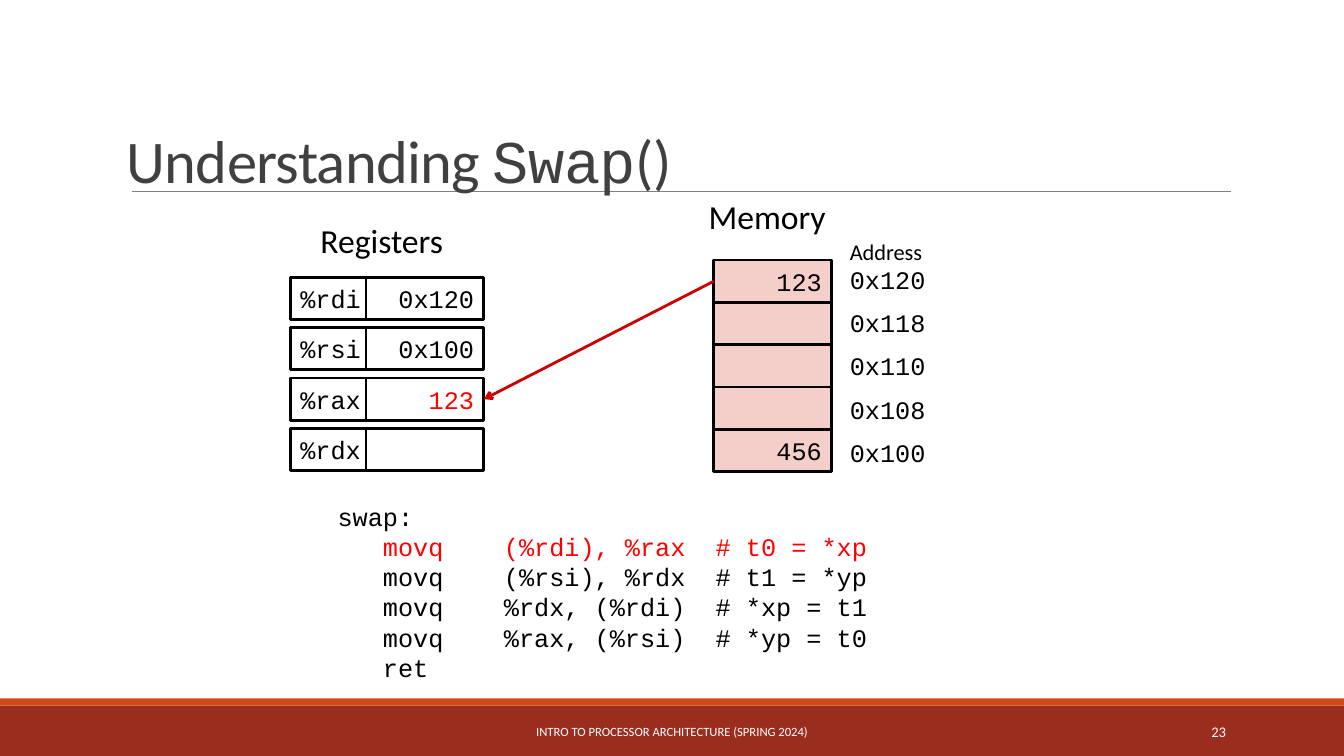
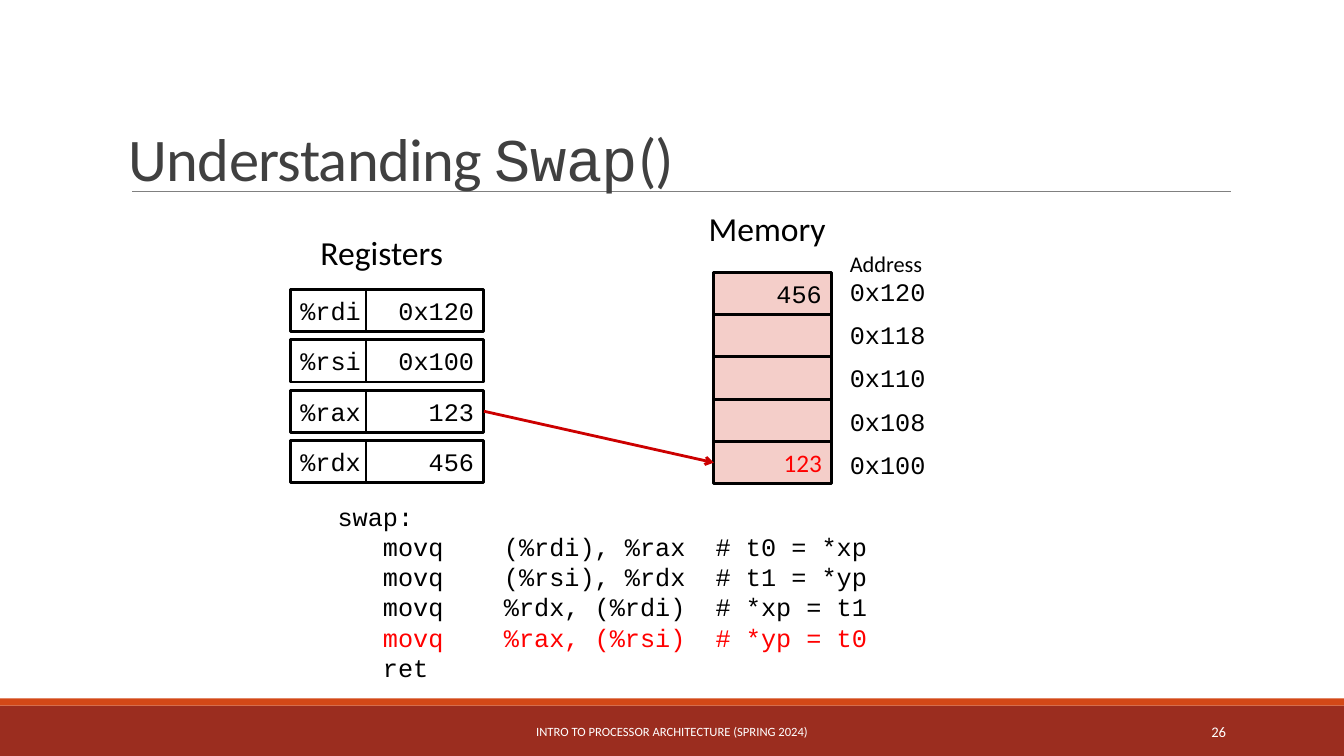
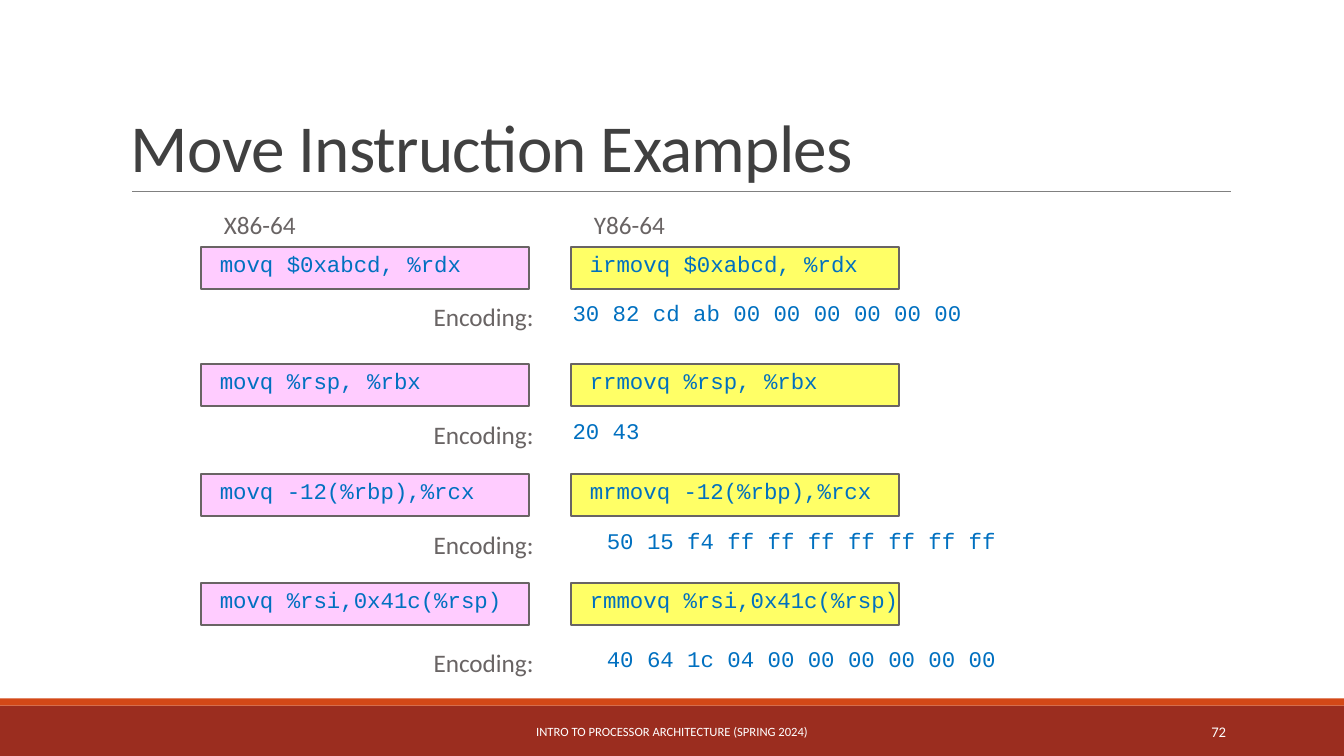
from lxml import etree
from pptx import Presentation
from pptx.dml.color import RGBColor
from pptx.enum import shapes, text
from pptx.oxml import ns
from pptx.util import Inches, Pt

BRICK = RGBColor(0x9B, 0x2D, 0x1F)
ORANGE = RGBColor(0xD3, 0x48, 0x17)
RULE_GRAY = RGBColor(0x80, 0x80, 0x80)
TITLE_GRAY = RGBColor(0x40, 0x40, 0x40)
LABEL_GRAY = RGBColor(0x69, 0x64, 0x64)
WHITE = RGBColor(0xFF, 0xFF, 0xFF)
BLACK = RGBColor(0, 0, 0)
RED = RGBColor(0xFF, 0, 0)
ARROW_RED = RGBColor(0xCC, 0, 0)
MEMORY_PINK = RGBColor(0xF4, 0xCE, 0xC9)
X86_PINK = RGBColor(0xFF, 0xCC, 0xFF)
Y86_YELLOW = RGBColor(0xFF, 0xFF, 0x66)
CODE_BLUE = RGBColor(0x00, 0x70, 0xC0)

SANS, MONO = "Calibri", "Courier New"
LEFT, CENTER, RIGHT = text.PP_ALIGN.LEFT, text.PP_ALIGN.CENTER, text.PP_ALIGN.RIGHT
TOP, MIDDLE, BOTTOM = text.MSO_ANCHOR.TOP, text.MSO_ANCHOR.MIDDLE, text.MSO_ANCHOR.BOTTOM

FOOTER = "INTRO TO PROCESSOR ARCHITECTURE (SPRING 2024)"
SWAP_TITLE = [("Understanding ", SANS), ("Swap", MONO), ("()", SANS)]
CODE_TABS = (0.45, 1.65, 3.75)
SWAP_CODE = [
    "swap:",
    "\tmovq\t(%rdi), %rax\t# t0 = *xp",
    "\tmovq\t(%rsi), %rdx\t# t1 = *yp",
    "\tmovq\t%rdx, (%rdi)\t# *xp = t1",
    "\tmovq\t%rax, (%rsi)\t# *yp = t0",
    "\tret",
]
REGISTERS = ["%rdi", "%rsi", "%rax", "%rdx"]
ADDRESSES = ["0x120", "0x118", "0x110", "0x108", "0x100"]
CELL_HEIGHT = 0.42
VALUE_WIDTH = 1.17

# row top, x86 code, y86 code, encoding top, encoding left, encoding
MOVES = [
    (2.45, "movq $0xabcd, %rdx", "irmovq $0xabcd, %rdx",
     2.94, 5.58, "30 82 cd ab 00 00 00 00 00 00"),
    (3.61, "movq %rsp, %rbx", "rrmovq %rsp, %rbx",
     4.11, 5.58, "20 43"),
    (4.7, "movq -12(%rbp),%rcx", "mrmovq -12(%rbp),%rcx",
     5.2, 5.92, "50 15 f4 ff ff ff ff ff ff ff"),
    (5.78, "movq %rsi,0x41c(%rsp)", "rmmovq %rsi,0x41c(%rsp)",
     6.37, 5.92, "40 64 1c 04 00 00 00 00 00 00"),
]


def set_attributes(target, values):
    for name, value in values.items():
        setattr(target, name, value)


def set_frame(shape, anchor=TOP, wrap=True, insets=(0.1, 0.05, 0.1, 0.05)):
    """Insets run left, top, right, bottom."""
    sides = ("margin_left", "margin_top", "margin_right", "margin_bottom")
    values = {side: Inches(inset) for side, inset in zip(sides, insets)}
    set_attributes(shape.text_frame, {
        "vertical_anchor": anchor, "word_wrap": wrap,
        "auto_size": text.MSO_AUTO_SIZE.NONE, **values})


def add_run(paragraph, words, size, font, color):
    run = paragraph.add_run()
    run.text = words
    set_attributes(run.font, {"size": Pt(size), "name": font})
    run.font.color.rgb = color
    return run


def add_text(slide, box, words, size, font=SANS, color=BLACK, align=LEFT, **frame):
    shape = slide.shapes.add_textbox(*map(Inches, box))
    set_frame(shape, **frame)
    paragraph = shape.text_frame.paragraphs[0]
    paragraph.alignment = align
    add_run(paragraph, words, size, font, color)


def add_box(slide, box, fill, line=None, width=2):
    shape = slide.shapes.add_shape(shapes.MSO_SHAPE.RECTANGLE, *map(Inches, box))
    shape.shadow.inherit = False
    shape.fill.solid()
    shape.fill.fore_color.rgb = fill
    if line is None:
        shape.line.fill.background()
    else:
        shape.line.color.rgb = line
        shape.line.width = Pt(width)
    return shape


def add_cell(slide, box, words, fill, align=RIGHT, color=BLACK, font=MONO):
    shape = add_box(slide, box, fill, BLACK)
    if words:
        set_frame(shape, MIDDLE, wrap=False)
        paragraph = shape.text_frame.paragraphs[0]
        paragraph.alignment = align
        add_run(paragraph, words, 18, font, color)
    return shape


def add_line(slide, start, end, color, width):
    connector = slide.shapes.add_connector(
        shapes.MSO_CONNECTOR.STRAIGHT, *map(Inches, start + end))
    connector.line.color.rgb = color
    connector.line.width = Pt(width)
    etree.SubElement(connector._element.spPr, ns.qn("a:effectLst"))
    return connector


def add_arrow(slide, source, source_side, target, target_side):
    connector = add_line(slide, (0, 0), (1, 1), ARROW_RED, 2)
    connector.begin_connect(source, source_side)
    connector.end_connect(target, target_side)
    line = connector._element.spPr.find(ns.qn("a:ln"))
    etree.SubElement(line, ns.qn("a:tailEnd"), type="arrow")


def add_title(slide, box, pieces, size):
    shape = slide.shapes.add_textbox(*map(Inches, box))
    set_frame(shape, BOTTOM)
    paragraph = shape.text_frame.paragraphs[0]
    paragraph.line_spacing = 0.85
    for words, font in pieces:
        run = add_run(paragraph, words, size, font, TITLE_GRAY)
        run.font._element.set("spc", "-50")


def new_slide(presentation, number):
    """Add a slide with the shared bands, title rule and footer."""
    slide = presentation.slides.add_slide(presentation.slide_layouts[6])
    add_box(slide, (0, 7, 13.33, 0.5), BRICK)
    add_box(slide, (0, 6.93, 13.33, 0.07), ORANGE)
    add_line(slide, (1.31, 1.9), (12.21, 1.9), RULE_GRAY, 0.5)
    add_text(slide, (4.03, 7.06, 5.27, 0.4), FOOTER, 9,
             color=WHITE, align=CENTER, anchor=MIDDLE)
    add_text(slide, (10.83, 7.06, 1.43, 0.4), str(number), 10.5,
             color=WHITE, align=RIGHT, anchor=MIDDLE)
    return slide


def add_registers(slide, shift, values, changed):
    """Draw the register rows and return their value cells."""
    add_text(slide, (3.08, 2.13 + shift, 1.48, 0.5), "Registers", 24, wrap=False)
    cells = []
    for row, (name, value) in enumerate(zip(REGISTERS, values)):
        top = 2.75 + shift + 0.5 * row
        add_cell(slide, (2.88, top, 0.75, CELL_HEIGHT), name, WHITE, LEFT)
        cells.append(add_cell(slide, (3.63, top, VALUE_WIDTH, CELL_HEIGHT), value, WHITE,
                              color=RED if row == changed else BLACK))
    return cells


def add_memory(slide, shift, values, changed):
    """Draw the memory column with its addresses and return its cells."""
    add_text(slide, (6.93, 1.89 + shift, 1.4, 0.5), "Memory", 24, wrap=False)
    add_text(slide, (8.33, 2.31 + shift, 1.33, 0.37), "Address", 16)
    cells = []
    for row, (address, value) in enumerate(zip(ADDRESSES, values)):
        style = {"color": RED, "font": SANS} if row == changed else {}
        box = (7.08, 2.58 + shift + CELL_HEIGHT * row, VALUE_WIDTH, CELL_HEIGHT)
        cells.append(add_cell(slide, box, value, MEMORY_PINK, **style))
        add_text(slide, (8.33, 2.57 + shift + 0.43 * row, 1.33, 0.4), address, 18, MONO)
    return cells


def add_code(slide, current):
    """List the swap code with the current line in red."""
    shape = slide.shapes.add_textbox(*map(Inches, (3.25, 4.92, 6.42, 1.92)))
    set_frame(shape)
    frame = shape.text_frame
    for index, line in enumerate(SWAP_CODE):
        paragraph = frame.add_paragraph() if index else frame.paragraphs[0]
        tabs = etree.SubElement(paragraph._p.get_or_add_pPr(), ns.qn("a:tabLst"))
        for position in CODE_TABS:
            etree.SubElement(tabs, ns.qn("a:tab"), pos=str(Inches(position)), algn="l")
        add_run(paragraph, line, 18, MONO, RED if index == current else BLACK)


def add_swap_slide(presentation, number, title_box, shift, registers, memory, current,
                   changed_register=None, changed_memory=None):
    slide = new_slide(presentation, number)
    add_title(slide, title_box, SWAP_TITLE, 43.2)
    memory_cells = add_memory(slide, shift, memory, changed_memory)
    register_cells = add_registers(slide, shift, registers, changed_register)
    add_code(slide, current)
    if changed_register is not None:
        add_arrow(slide, memory_cells[0], 1, register_cells[changed_register], 3)
    else:
        add_arrow(slide, register_cells[2], 3, memory_cells[changed_memory], 1)


def add_instruction(slide, left, top, words, fill):
    shape = add_box(slide, (left, top, 3.26, CELL_HEIGHT), fill, LABEL_GRAY, 1.5)
    set_frame(shape, MIDDLE, wrap=False, insets=(0.19, 0.05, 0, 0.14))
    paragraph = shape.text_frame.paragraphs[0]
    paragraph.alignment = LEFT
    add_run(paragraph, words, 16, MONO, CODE_BLUE)


def add_label(slide, left, top, width, words):
    add_text(slide, (left, top, width, 0.41), words, 18, color=LABEL_GRAY,
             wrap=False, insets=(0.05,) * 4)


def add_move_slide(presentation, number):
    slide = new_slide(presentation, number)
    add_title(slide, (1.2, 0.31, 11, 1.59), [("Move Instruction Examples", SANS)], 48)
    add_label(slide, 2.17, 2.03, 0.82, "X86-64")
    add_label(slide, 5.84, 2.03, 0.82, "Y86-64")
    for top, x86, y86, encoding_top, encoding_left, encoding in MOVES:
        add_instruction(slide, 1.99, top, x86, X86_PINK)
        add_instruction(slide, 5.66, top, y86, Y86_YELLOW)
        add_label(slide, 4.25, encoding_top, 1.17, "Encoding:")
        add_text(slide, (encoding_left, encoding_top, 4.09, 0.33), encoding, 16,
                 MONO, CODE_BLUE, anchor=MIDDLE, wrap=False)


def main():
    presentation = Presentation()
    set_attributes(presentation, {"slide_width": Inches(13.33), "slide_height": Inches(7.5)})
    add_swap_slide(presentation, 23, (1.16, 1.36, 6.97, 0.63), 0,
                   ["0x120", "0x100", "123", ""], ["123", "", "", "", "456"],
                   current=1, changed_register=2)
    add_swap_slide(presentation, 26, (1.18, 1.34, 6.97, 0.63), 0.12,
                   ["0x120", "0x100", "123", "456"], ["456", "", "", "", "123"],
                   current=4, changed_memory=4)
    add_move_slide(presentation, 72)
    presentation.save("out.pptx")


if __name__ == "__main__":
    main()
